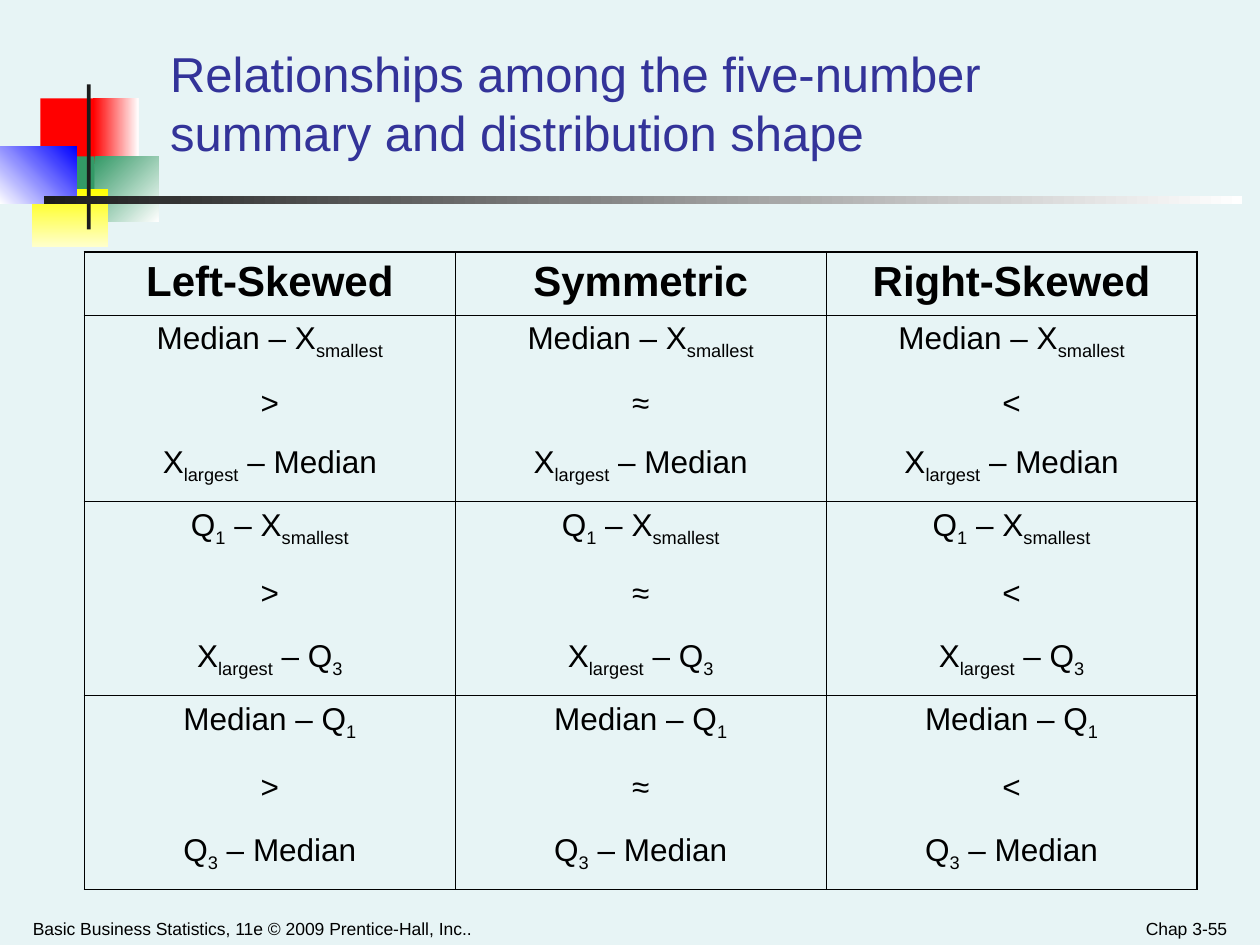
from lxml.etree import SubElement
from pptx import Presentation
from pptx.dml.color import RGBColor
from pptx.enum.shapes import MSO_SHAPE
from pptx.enum.text import MSO_ANCHOR, MSO_AUTO_SIZE, PP_ALIGN
from pptx.oxml.ns import qn
from pptx.util import Inches, Pt

BACKGROUND = RGBColor(0xE7, 0xF4, 0xF5)
TITLE_BLUE = RGBColor(0x33, 0x33, 0x99)
BLACK = RGBColor(0, 0, 0)
WHITE = RGBColor(0xFF, 0xFF, 0xFF)
RED = RGBColor(0xFF, 0, 0)
GREEN = RGBColor(0x33, 0x99, 0x66)
YELLOW = RGBColor(0xFF, 0xFF, 0)
PALE_YELLOW = RGBColor(0xFF, 0xFF, 0xCC)
BLUE = RGBColor(0, 0, 0xFF)
CHARCOAL = RGBColor(0x1C, 0x1C, 0x1C)

# left, top, width, height, fill colours, clockwise gradient angle
DECORATION = [
    (0.32, 0.78, 0.48, 0.52, [RED], 0),
    (0.74, 0.78, 0.36, 0.52, [RED, WHITE], 0),
    (0.75, 1.24, 0.51, 0.52, [GREEN, WHITE], 45),
    (0.43, 1.24, 0.32, 0.52, [GREEN], 0),
    (0.25, 1.5, 0.61, 0.46, [YELLOW, PALE_YELLOW], 90),
    (0, 1.16, 0.61, 0.46, [WHITE, BLUE], 315),
    (0.69, 0.67, 0.03, 1.15, [CHARCOAL], 0),
    (0.35, 1.56, 9.51, 0.06, [CHARCOAL, WHITE], 0),
]

SHAPES = {"Left-Skewed": ">", "Symmetric": "≈", "Right-Skewed": "<"}
# first distance, second distance, points between lines; _subscript_
COMPARISONS = [
    ("Median – X_smallest_", "X_largest_ – Median", 13.7),
    ("Q_1_ – X_smallest_", "X_largest_ – Q_3_", 16),
    ("Median – Q_1_", "Q_3_ – Median", 16),
]
ROW_HEIGHTS = [0.5, 1.48, 1.54, 1.54]


class SlideBuilder:
    font_name = "Arial"
    outer_border = Pt(1.08)
    inner_border = Pt(0.45)

    def __init__(self, presentation):
        self.slide = presentation.slides.add_slide(presentation.slide_layouts[5])
        self.slide.background.fill.solid()
        self.slide.background.fill.fore_color.rgb = BACKGROUND

    def style(self, font, size, color=BLACK, bold=False):
        font.name = self.font_name
        font.size = Pt(size)
        font.color.rgb = color
        font.bold = bold

    def decoration(self, blocks):
        group = self.slide.shapes.add_group_shape()
        for left, top, width, height, colors, angle in blocks:
            shape = group.shapes.add_shape(
                MSO_SHAPE.RECTANGLE, Inches(left), Inches(top), Inches(width), Inches(height))
            shape.shadow.inherit = False
            shape.line.fill.background()
            if len(colors) == 1:
                shape.fill.solid()
                shape.fill.fore_color.rgb = colors[0]
            else:
                shape.fill.gradient()
                shape.fill.gradient_angle = (360 - angle) % 360
                for stop, color in zip(shape.fill.gradient_stops, colors):
                    stop.color.rgb = color

    def fill_text(self, shape, text, size, color, align):
        text_frame = shape.text_frame
        text_frame.text = text
        text_frame.word_wrap = True
        text_frame.auto_size = MSO_AUTO_SIZE.NONE
        text_frame.vertical_anchor = MSO_ANCHOR.BOTTOM
        text_frame.margin_left = text_frame.margin_right = Inches(0.09)
        text_frame.margin_top = text_frame.margin_bottom = Inches(0.05)
        paragraph = text_frame.paragraphs[0]
        paragraph.alignment = align
        self.style(paragraph.runs[0].font, size, color)

    def title(self, text, left, top, width, height):
        title = self.slide.shapes.title
        title.left, title.top = Inches(left), Inches(top)
        title.width, title.height = Inches(width), Inches(height)
        self.fill_text(title, text, 28, TITLE_BLUE, PP_ALIGN.LEFT)

    def footer(self, text, left, width, align):
        box = self.slide.shapes.add_textbox(
            Inches(left), Inches(7.15), Inches(width), Inches(0.35))
        self.fill_text(box, text, 10, BLACK, align)

    def table(self, left, top, width, row_heights, columns):
        frame = self.slide.shapes.add_table(
            len(row_heights), columns, Inches(left), Inches(top),
            Inches(width), Inches(sum(row_heights)))
        table = frame.table
        table.first_row = table.horz_banding = False
        for row, height in zip(table.rows, row_heights):
            row.height = Inches(height)
        last_row, last_column = len(row_heights) - 1, columns - 1
        for row in range(len(row_heights)):
            for column in range(columns):
                cell = table.cell(row, column)
                self.borders(cell, {"lnL": column == 0, "lnR": column == last_column,
                                    "lnT": row == 0, "lnB": row == last_row})
                cell.fill.background()
        return table

    def borders(self, cell, sides):
        """Draw each side, thick where it lies on the table's edge."""
        properties = cell._tc.get_or_add_tcPr()
        for side, is_edge in sides.items():
            width = self.outer_border if is_edge else self.inner_border
            line = SubElement(properties, qn(f"a:{side}"), w=str(int(width)))
            fill = SubElement(line, qn("a:solidFill"))
            SubElement(fill, qn("a:srgbClr"), val=str(BLACK))

    def cell_lines(self, cell, lines, size, bold=False, gap=0):
        """Write centred lines; text between underscores is subscript."""
        text_frame = cell.text_frame
        for index, line in enumerate(lines):
            paragraph = text_frame.add_paragraph() if index else text_frame.paragraphs[0]
            paragraph.alignment = PP_ALIGN.CENTER
            if index:
                paragraph.space_before = Pt(gap)
            for position, part in enumerate(line.split("_")):
                if part:
                    run = paragraph.add_run()
                    run.text = part
                    self.style(run.font, size, bold=bold)
                    if position % 2:
                        run._r.get_or_add_rPr().set("baseline", "-25000")


def main():
    presentation = Presentation()
    presentation.slide_width, presentation.slide_height = Inches(10), Inches(7.5)
    builder = SlideBuilder(presentation)
    builder.decoration(DECORATION)
    builder.footer("Basic Business Statistics, 11e © 2009 Prentice-Hall, Inc..",
                   0.17, 5.08, PP_ALIGN.LEFT)
    builder.footer("Chap 3-55", 7.5, 2.33, PP_ALIGN.RIGHT)
    builder.title("Relationships among the five-number summary and distribution shape",
                  1.26, 0.25, 8.07, 1.08)

    table = builder.table(0.67, 2, 8.83, ROW_HEIGHTS, len(SHAPES))
    for column, (heading, sign) in enumerate(SHAPES.items()):
        builder.cell_lines(table.cell(0, column), [heading], 24, bold=True)
        for row, (first, second, gap) in enumerate(COMPARISONS, start=1):
            builder.cell_lines(table.cell(row, column), [first, sign, second], 18, gap=gap)
    presentation.save("out.pptx")


if __name__ == "__main__":
    main()
